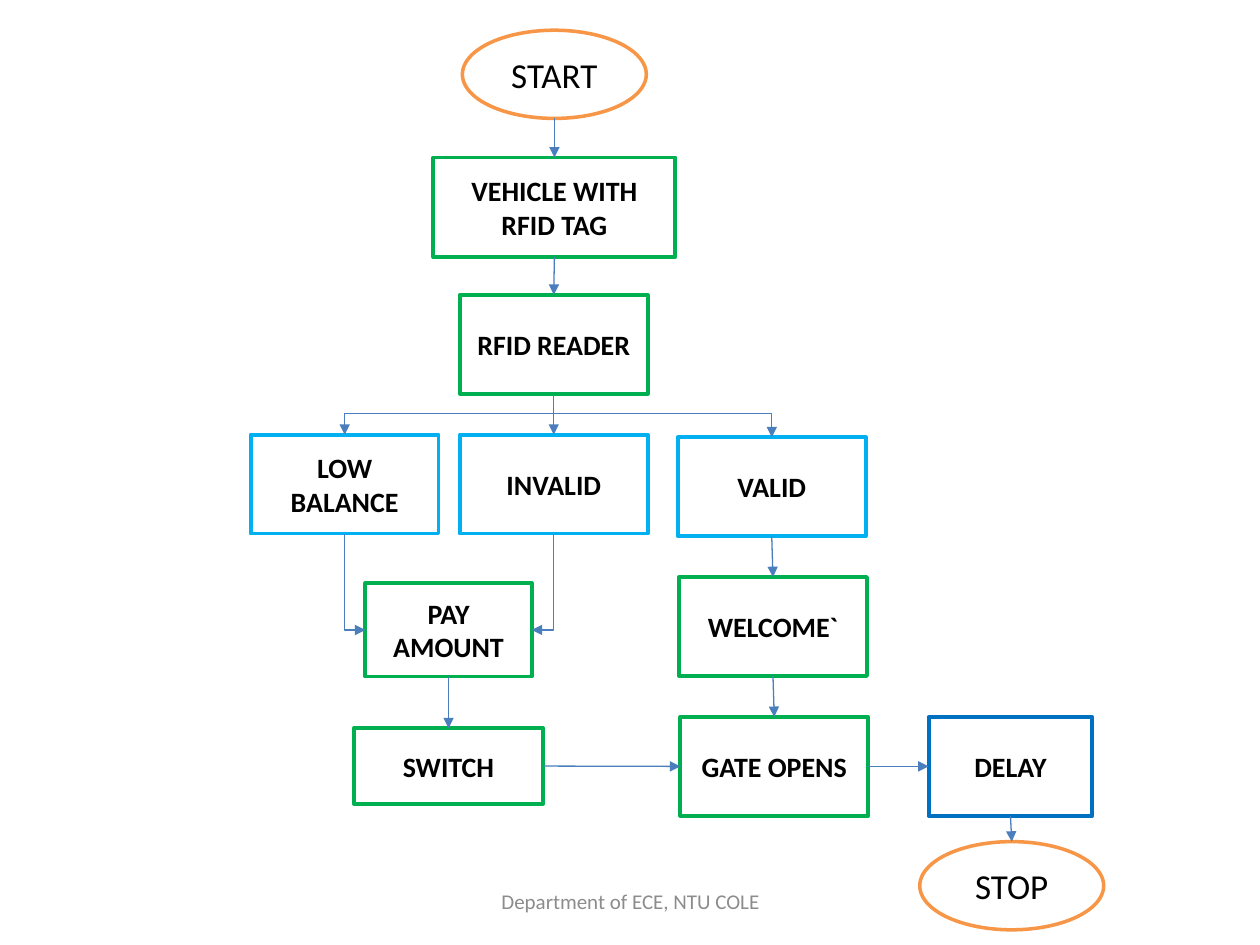
from dataclasses import dataclass

from lxml.etree import SubElement
from pptx import Presentation
from pptx.dml.color import RGBColor
from pptx.enum.shapes import MSO_CONNECTOR as Route, MSO_SHAPE as Preset
from pptx.enum.text import MSO_ANCHOR as Anchor, PP_ALIGN as Align
from pptx.oxml.ns import qn
from pptx.shapes.autoshape import Shape
from pptx.shapes.connector import Connector
from pptx.util import Inches, Pt

COLUMNS, ROWS = 100, 75
TOP, LEFT, BOTTOM, RIGHT = range(4)


@dataclass(frozen=True)
class Theme:
    font: str = "Calibri"
    paper: str = "FFFFFF"
    ink: str = "000000"
    muted: str = "8C8C8C"
    terminal: str = "F79646"
    process: str = "00B050"
    outcome: str = "00B0F0"
    wait: str = "0070C0"
    arrow: str = "4B7EBC"
    terminal_size: float = 20
    step_size: float = 16
    footer_size: float = 12
    terminal_line: float = 2
    step_line: float = 2.25
    arrow_line: float = 0.75


@dataclass(frozen=True)
class Step:
    label: str
    column: float
    row: float
    columns: float
    rows: float
    color: str
    terminal: bool = False


@dataclass(frozen=True)
class Link:
    source: str
    target: str
    exit_side: int = BOTTOM
    entry_side: int = TOP


THEME = Theme()
WIDE, TALL = 14.9, 7.85

STEPS = [
    Step("START", 36.7, 2.4, 14.6, 7, THEME.terminal, True),
    Step("VEHICLE WITH RFID TAG", 34.4, 12.5, 19.2, 7.9, THEME.process),
    Step("RFID READER", 36.5, 23.4, WIDE, TALL, THEME.process),
    Step("LOW BALANCE", 19.9, 34.5, WIDE, TALL, THEME.outcome),
    Step("INVALID", 36.5, 34.5, WIDE, TALL, THEME.outcome),
    Step("VALID", 53.8, 34.7, WIDE, TALL, THEME.outcome),
    Step("PAY AMOUNT", 29, 46.3, 13.2, 7.4, THEME.process),
    Step("SWITCH", 28.1, 57.8, 15, 6, THEME.process),
    Step("WELCOME`", 53.9, 45.8, WIDE, TALL, THEME.process),
    Step("GATE OPENS", 54, 56.9, WIDE, TALL, THEME.process),
    Step("DELAY", 73.7, 56.9, 13, TALL, THEME.wait),
    Step("STOP", 73, 66.8, 14.6, 7, THEME.terminal, True),
]

LINKS = [
    Link("START", "VEHICLE WITH RFID TAG"),
    Link("VEHICLE WITH RFID TAG", "RFID READER"),
    Link("RFID READER", "INVALID"),
    Link("PAY AMOUNT", "SWITCH"),
    Link("VALID", "WELCOME`"),
    Link("WELCOME`", "GATE OPENS"),
    Link("GATE OPENS", "DELAY", RIGHT, LEFT),
    Link("DELAY", "STOP"),
    Link("SWITCH", "GATE OPENS", RIGHT, LEFT),
]

deck = Presentation()
deck.slide_width, deck.slide_height = Inches(10), Inches(7.5)
slide = deck.slides.add_slide(deck.slide_layouts[6])


def across(columns: float) -> int:
    return round(deck.slide_width * columns / COLUMNS)


def down(rows: float) -> int:
    return round(deck.slide_height * rows / ROWS)


def write(holder: Shape, text: str, size: float, color: str, bold: bool = False) -> None:
    frame = holder.text_frame
    frame.word_wrap = True
    frame.vertical_anchor = Anchor.MIDDLE
    paragraph = frame.paragraphs[0]
    paragraph.text = text
    paragraph.alignment = Align.CENTER
    paragraph.font.name = THEME.font
    paragraph.font.size = Pt(size)
    paragraph.font.bold = bold
    paragraph.font.color.rgb = RGBColor.from_string(color)


def draw_step(step: Step) -> Shape:
    node = slide.shapes.add_shape(
        Preset.OVAL if step.terminal else Preset.RECTANGLE,
        across(step.column), down(step.row), across(step.columns), down(step.rows))
    node.shadow.inherit = False
    node.fill.solid()
    node.fill.fore_color.rgb = RGBColor.from_string(THEME.paper)
    node.line.color.rgb = RGBColor.from_string(step.color)
    node.line.width = Pt(THEME.terminal_line if step.terminal else THEME.step_line)
    size = THEME.terminal_size if step.terminal else THEME.step_size
    write(node, step.label, size, THEME.ink, not step.terminal)
    return node


def side_middle(node: Shape, side: int) -> tuple[int, int]:
    middle, centre = node.left + node.width // 2, node.top + node.height // 2
    return {
        TOP: (middle, node.top),
        LEFT: (node.left, centre),
        BOTTOM: (middle, node.top + node.height),
        RIGHT: (node.left + node.width, centre),
    }[side]


def join(route: Route, source: Shape, exit_side: int, target: Shape, entry_side: int,
         arrow_ends: tuple[str, ...] = ("tailEnd",)) -> Connector:
    arrow = slide.shapes.add_connector(
        route, *side_middle(source, exit_side), *side_middle(target, entry_side))
    if source.auto_shape_type == Preset.RECTANGLE:
        arrow.begin_connect(source, exit_side)
    arrow.end_connect(target, entry_side)
    arrow.line.color.rgb = RGBColor.from_string(THEME.arrow)
    arrow.line.width = Pt(THEME.arrow_line)
    properties = arrow.element.spPr
    for end in arrow_ends:
        SubElement(properties.find(qn("a:ln")), qn(f"a:{end}")).set("type", "triangle")
    SubElement(properties, qn("a:effectLst"))
    return arrow


def draw_corner(step: Shape, side: int, branch: Shape) -> None:
    corner = join(Route.ELBOW, step, side, branch, BOTTOM, ("headEnd",))
    corner.element.spPr.find(qn("a:prstGeom")).set("prst", "bentConnector2")


def draw_fork(first: Shape, last: Shape, rise: int) -> None:
    fork = join(Route.ELBOW, first, TOP, last, TOP, ("headEnd", "tailEnd"))
    span, drop = fork.width, fork.height
    fork.left += (span - drop) // 2
    fork.top -= (span - drop) // 2
    fork.width, fork.height = drop, span
    properties = fork.element.spPr
    turn = properties.find(qn("a:xfrm"))
    turn.set("rot", "16200000")
    turn.set("flipH", "1")
    guides = properties.find(qn("a:prstGeom")).find(qn("a:avLst"))
    guide = SubElement(guides, qn("a:gd"))
    guide.set("name", "adj1")
    guide.set("fmla", f"val {round(-rise / drop * 100000)}")


def draw_footer(text: str) -> None:
    footer = slide.shapes.add_textbox(across(34.2), down(69.5), across(31.7), down(4))
    write(footer, text, THEME.footer_size, THEME.muted)


def main() -> None:
    draw_footer("Department of ECE, NTU COLE")
    nodes = {step.label: draw_step(step) for step in STEPS}
    for link in LINKS:
        join(Route.STRAIGHT, nodes[link.source], link.exit_side,
             nodes[link.target], link.entry_side)
    draw_fork(nodes["LOW BALANCE"], nodes["VALID"], down(1.7))
    draw_corner(nodes["PAY AMOUNT"], LEFT, nodes["LOW BALANCE"])
    draw_corner(nodes["PAY AMOUNT"], RIGHT, nodes["INVALID"])
    deck.save("out.pptx")


if __name__ == "__main__":
    main()
